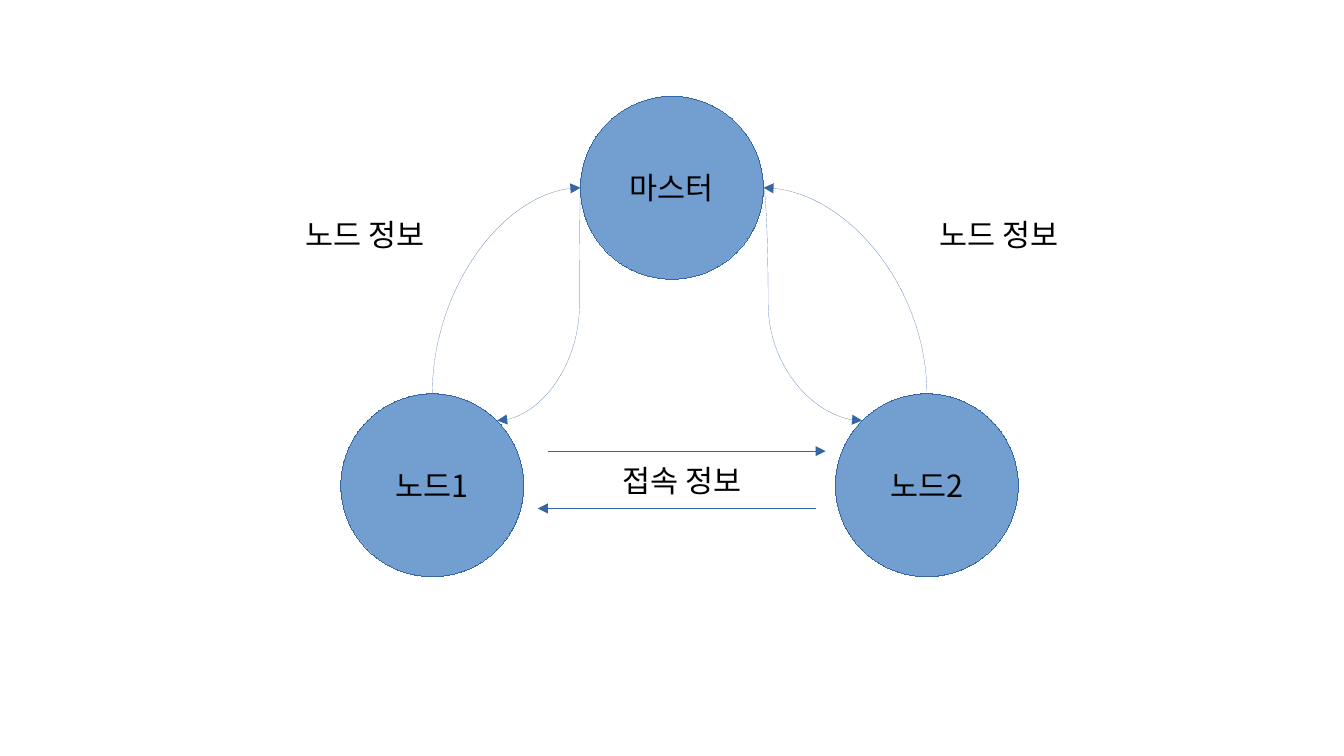
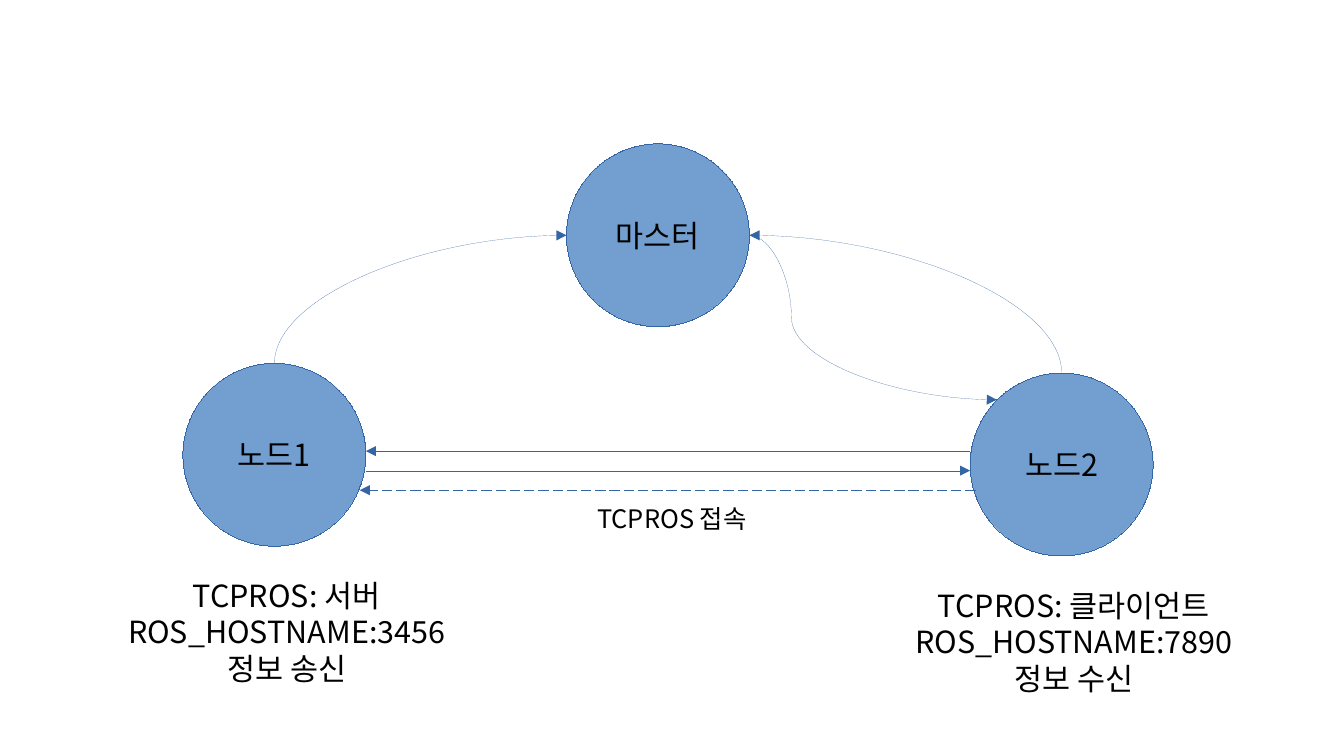
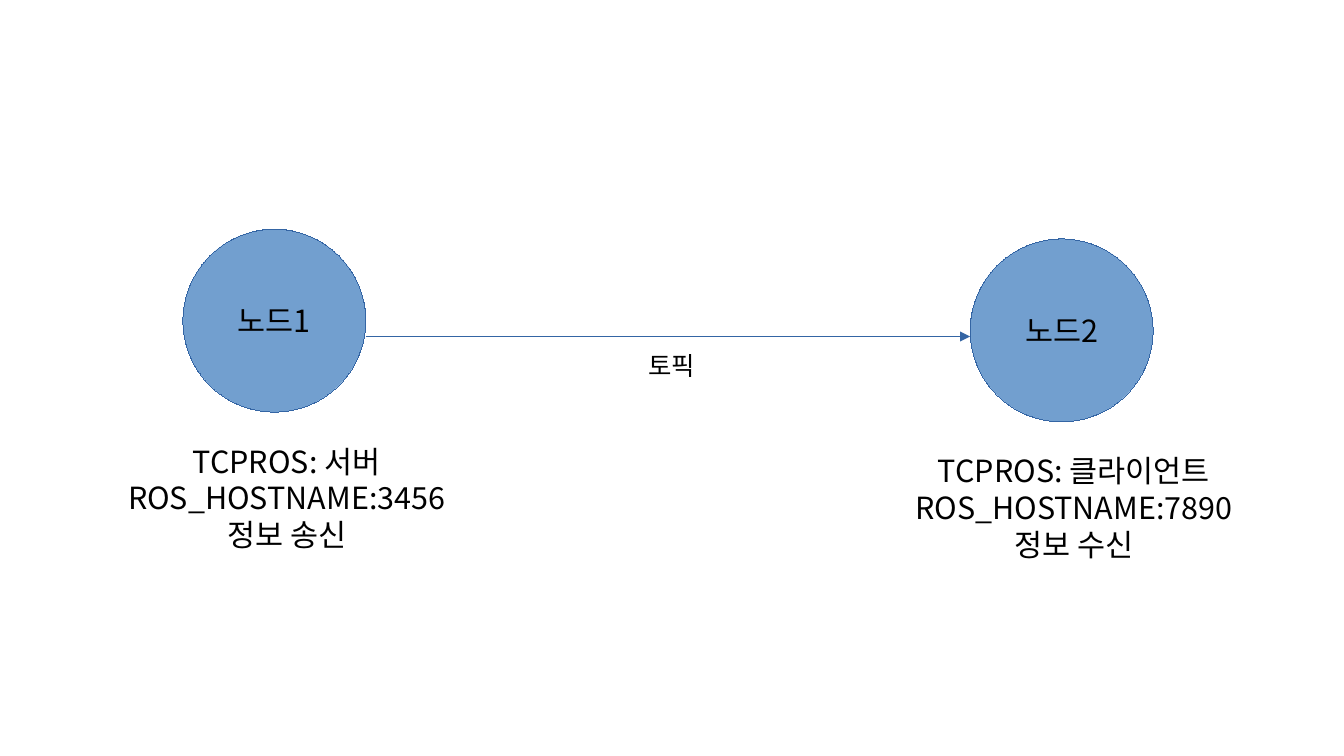
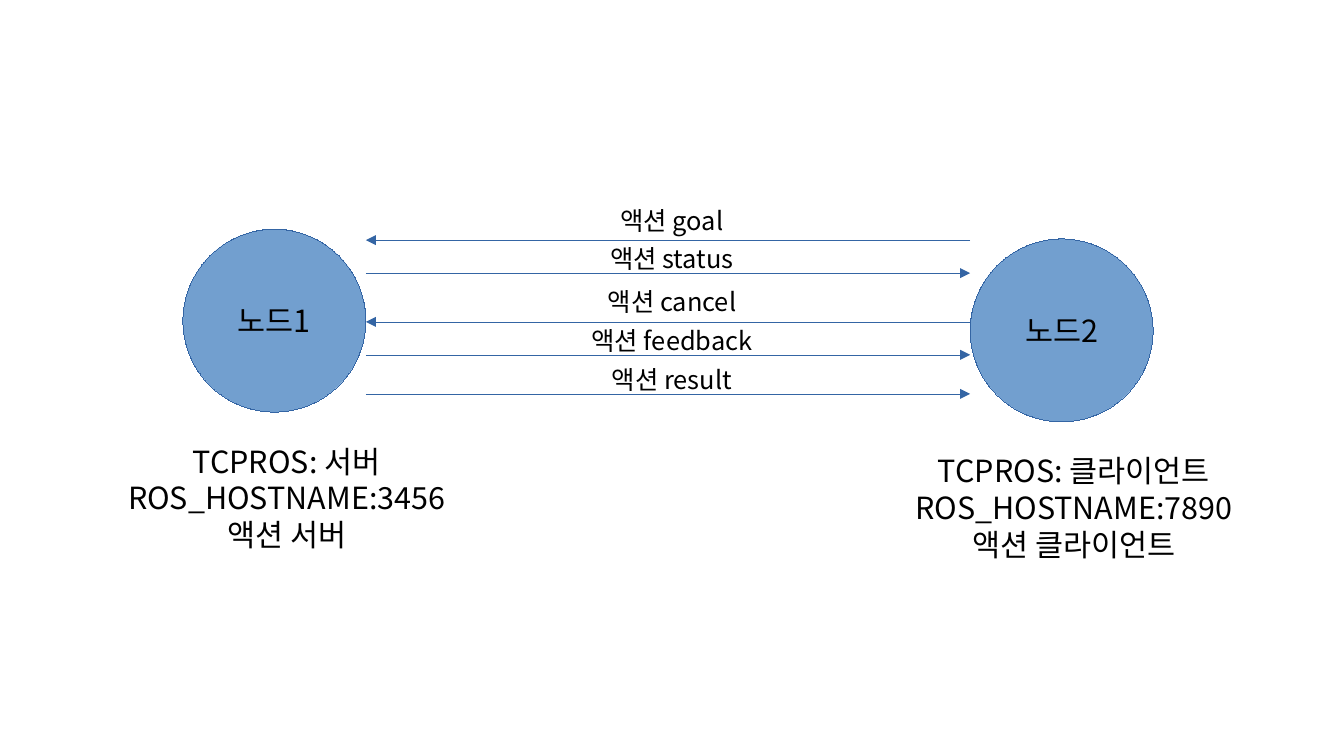
from collections import namedtuple
from dataclasses import dataclass

from lxml.etree import SubElement
from pptx import Presentation
from pptx.dml.color import RGBColor
from pptx.enum.dml import MSO_LINE
from pptx.enum.shapes import MSO_CONNECTOR as Link, MSO_SHAPE as Preset
from pptx.enum.text import MSO_ANCHOR as Anchor, PP_ALIGN as Align
from pptx.oxml.ns import qn
from pptx.util import Inches, Pt


@dataclass(frozen=True)
class Theme:
    """Colours, type sizes and the grid shared by all slides."""

    font: str = "Noto Sans CJK KR"
    ink: RGBColor = RGBColor(0x00, 0x00, 0x00)
    paper: RGBColor = RGBColor(0xFF, 0xFF, 0xFF)
    node: RGBColor = RGBColor(0x72, 0x9F, 0xCF)
    edge: RGBColor = RGBColor(0x34, 0x65, 0xA4)
    body: int = 18
    small: int = 15
    cell: float = 0.1
    columns: float = 110.2
    rows: float = 62
    diameter: float = 15
    label_width: float = 14.2
    label_height: float = 3.9


THEME = Theme()
SERVER_COLUMN, CLIENT_COLUMN, LABEL_COLUMN = 15, 79.55, 48
CHANNEL = (SERVER_COLUMN + THEME.diameter, CLIENT_COLUMN)


class Node(namedtuple("Node", "column row")):
    """Places on the outline of a round node, in grid cells."""

    def at(self, across, down):
        """Return the point at the given shares of the node's box."""
        return self.column + across * THEME.diameter, self.row + down * THEME.diameter

    @property
    def top(self):
        """Return the top middle."""
        return self.at(0.5, 0)

    @property
    def left(self):
        """Return the left middle."""
        return self.at(0, 0.5)

    @property
    def right(self):
        """Return the right middle."""
        return self.at(1, 0.5)

    @property
    def left_shoulder(self):
        """Return the upper left diagonal point."""
        return self.at(0.146, 0.146)

    @property
    def right_shoulder(self):
        """Return the upper right diagonal point."""
        return self.at(0.854, 0.146)


def cells(*values):
    """Turn grid cells into slide lengths."""
    return [Inches(value * THEME.cell) for value in values]


def apply(target, formats):
    """Set each named attribute of the target."""
    for name, value in formats.items():
        setattr(target, name, value)


def set_hairline(shape, color):
    """Give a shape the thinnest line and return the line's element."""
    shape.line.color.rgb = color
    outline = shape.line._get_or_add_ln()
    outline.set("w", "0")
    return outline


def add_box(page, preset, area, lines, size, fill, edge):
    """Draw a filled shape with centred lines of text."""
    box = page.shapes.add_shape(preset, *cells(*area))
    box.shadow.inherit = False
    box.fill.solid()
    box.fill.fore_color.rgb = fill
    set_hairline(box, edge)
    frame = box.text_frame
    apply(frame, {"word_wrap": False, "vertical_anchor": Anchor.MIDDLE})
    for index, text in enumerate(lines):
        para = frame.add_paragraph() if index else frame.paragraphs[0]
        para.alignment = Align.CENTER
        span = para.add_run()
        span.text = text
        apply(span.font, {"size": Pt(size), "name": THEME.font})
        span.font.color.rgb = THEME.ink
        SubElement(span._r.get_or_add_rPr(), qn("a:ea"), typeface=THEME.font)


def add_node(page, name, column, row):
    """Draw a round node and return its places."""
    area = (column, row, THEME.diameter, THEME.diameter)
    add_box(page, Preset.OVAL, area, [name], THEME.body, THEME.node, THEME.edge)
    return Node(column, row)


def add_label(page, column, row, *lines, size=THEME.body):
    """Draw a white label."""
    area = (column, row, THEME.label_width, THEME.label_height)
    add_box(page, Preset.RECTANGLE, area, lines, size, THEME.paper, THEME.paper)


def add_arrow(page, start, end, kind=Link.STRAIGHT, dash=None):
    """Draw a hairline with an arrowhead at its end."""
    arrow = page.shapes.add_connector(kind, *cells(*start, *end))
    outline = set_hairline(arrow, THEME.edge)
    if dash:
        arrow.line.dash_style = dash
    SubElement(outline, qn("a:tailEnd"), type="triangle")
    SubElement(arrow._element.spPr, qn("a:effectLst"))
    return arrow


def add_rise(page, start, end):
    """Draw a quarter curve that leaves upwards and arrives sideways."""
    middle_x, middle_y = ((a + b) / 2 for a, b in zip(start, end))
    side = 1 if end[0] > start[0] else -1
    across, down = side * abs(end[1] - start[1]) / 2, abs(end[0] - start[0]) / 2
    arrow = add_arrow(page, (middle_x + across, middle_y + down),
                      (middle_x - across, middle_y - down), Link.CURVE)
    properties = arrow._element.spPr
    properties.find(qn("a:xfrm")).set("rot", str((90 if side > 0 else 270) * 60000))
    properties.find(qn("a:prstGeom")).set("prst", "curvedConnector2")


def add_swing(page, start, end, bend):
    """Draw an S curve whose middle lies at a share of its width."""
    arrow = add_arrow(page, start, end, Link.CURVE)
    geometry = arrow._element.spPr.find(qn("a:prstGeom"))
    values = geometry.find(qn("a:avLst"))
    if values is None:
        values = SubElement(geometry, qn("a:avLst"))
    SubElement(values, qn("a:gd"), name="adj1", fmla=f"val {round(bend * 100000)}")


def add_channel(page, row, to_client):
    """Draw a level arrow between the server and the client."""
    server, client = ((column, row) for column in CHANNEL)
    add_arrow(page, *((server, client) if to_client else (client, server)))


def add_peers(page, row, server_role, client_role):
    """Draw the server and client nodes with their descriptions."""
    peers = []
    for name, column, top, kind, port, role in (
        ("노드1", SERVER_COLUMN, row, "서버", 3456, server_role),
        ("노드2", CLIENT_COLUMN, row + 0.8, "클라이언트", 7890, client_role),
    ):
        peers.append(add_node(page, name, column, top))
        add_label(page, column + 1.4, top + 20.05,
                  f"TCPROS: {kind}", f"ROS_HOSTNAME:{port}", role)
    return peers


def build_overview(page):
    """Show the master and two nodes exchanging information."""
    add_label(page, 48.8, 37.4, "접속 정보")
    for column in (22.8, 74.8):
        add_label(page, column, 17.3, "노드 정보")
    master = add_node(page, "마스터", 47.6, 7.9)
    first = add_node(page, "노드1", 27.95, 32.3)
    second = add_node(page, "노드2", 68.5, 32.3)
    add_rise(page, first.top, master.left)
    add_rise(page, second.top, master.right)
    add_swing(page, master.left, first.right_shoulder, 0.012)
    add_swing(page, master.right, second.left_shoulder, 0.048)
    add_arrow(page, (44.9, 37), (67.7, 37))
    add_arrow(page, (66.9, 41.7), (44.1, 41.7))


def build_connection(page):
    """Show the connection between server and client."""
    master = add_node(page, "마스터", 46.45, 11.8)
    server, client = add_peers(page, 29.8, "정보 송신", "정보 수신")
    add_rise(page, server.top, master.left)
    add_rise(page, client.top, master.right)
    add_swing(page, master.right, client.left_shoulder, 0.17)
    add_label(page, LABEL_COLUMN, 40.6, "TCPROS 접속", size=THEME.small)
    add_channel(page, 38.6, True)
    add_channel(page, 37, False)
    add_arrow(page, (80, 40.2), (29.5, 40.2), dash=MSO_LINE.LONG_DASH)


def build_topic(page):
    """Show a topic sent one way."""
    add_peers(page, 18.8, "정보 송신", "정보 수신")
    add_channel(page, 27.6, True)
    add_label(page, LABEL_COLUMN, 28, "토픽", size=THEME.small)


def build_action(page):
    """Show the five messages of an action."""
    messages = (
        ("result", 32.3, True),
        ("feedback", 29.1, True),
        ("cancel", 26.4, False),
        ("status", 22.4, True),
        ("goal", 19.7, False),
    )
    for name, row, to_client in messages:
        lift = 3.15 if to_client else 3.6
        add_label(page, LABEL_COLUMN, row - lift, f"액션 {name}", size=THEME.small)
    add_peers(page, 18.8, "액션 서버", "액션 클라이언트")
    for _, row, to_client in messages:
        add_channel(page, row, to_client)


def main():
    """Build and save the deck."""
    deck = Presentation()
    deck.slide_width, deck.slide_height = cells(THEME.columns, THEME.rows)
    for build in (build_overview, build_connection, build_topic, build_action):
        build(deck.slides.add_slide(deck.slide_layouts[6]))
    deck.save("out.pptx")


if __name__ == "__main__":
    main()
